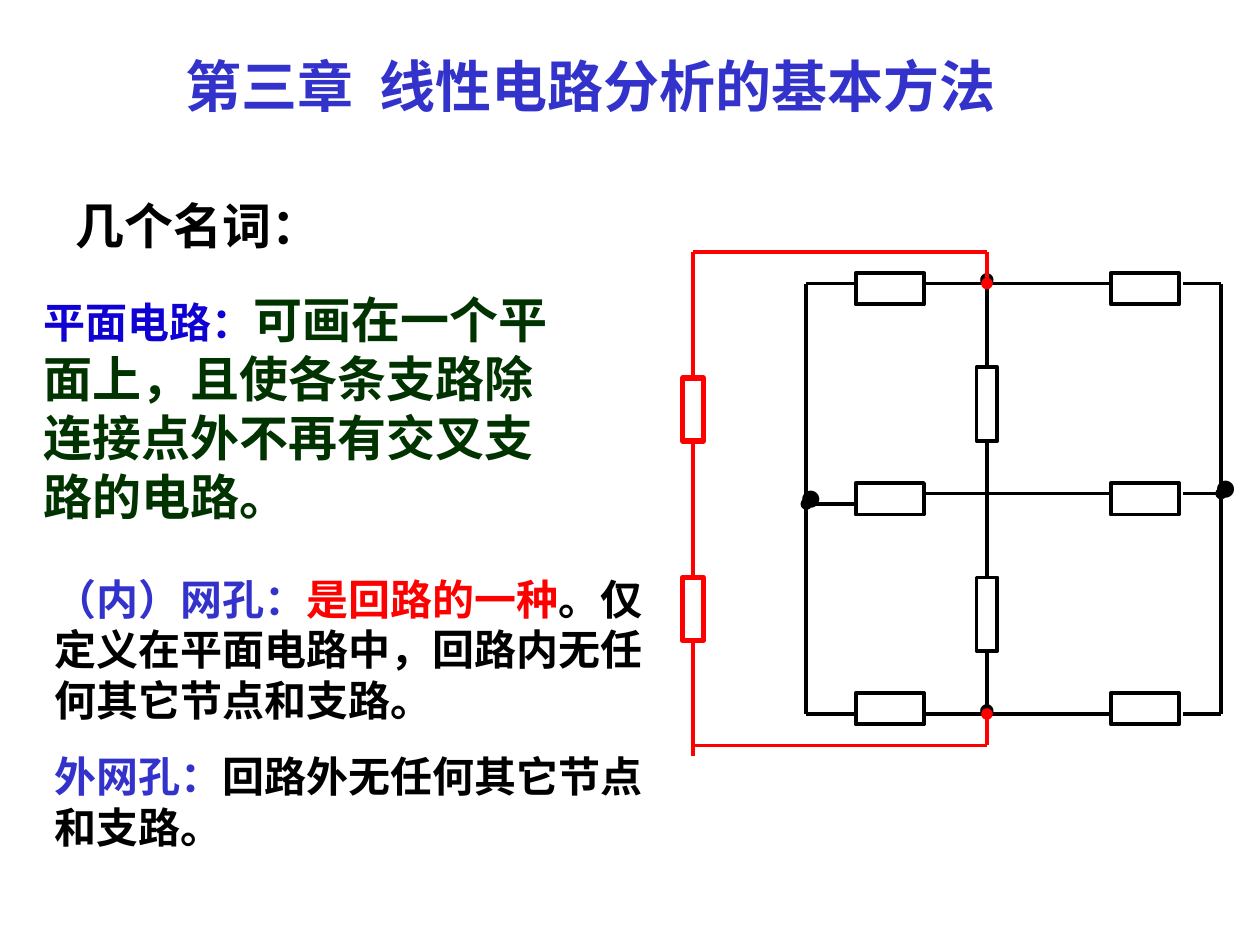
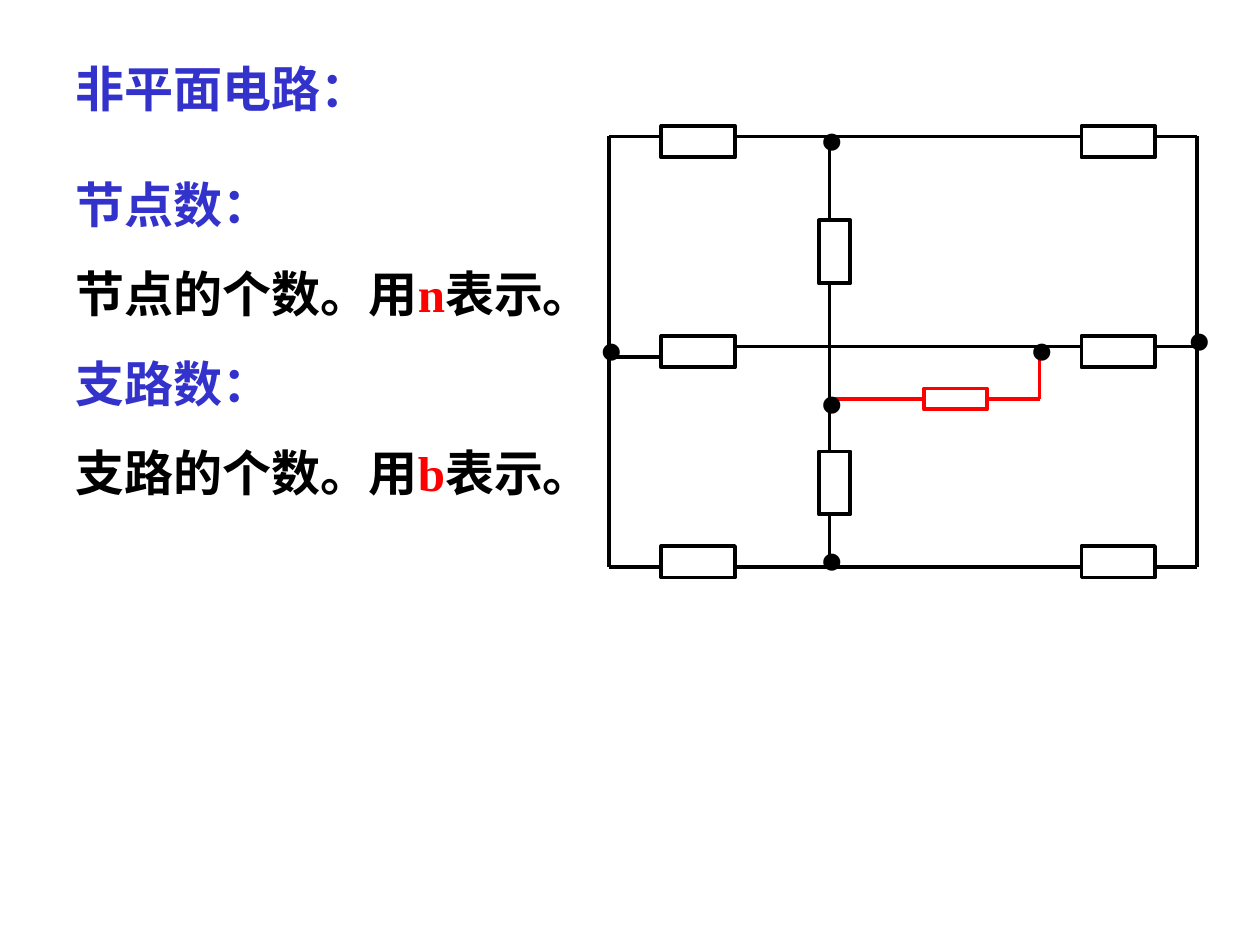
from dataclasses import dataclass
from typing import Optional

from lxml.etree import SubElement
from pptx import Presentation
from pptx.dml.color import RGBColor
from pptx.enum.shapes import MSO_CONNECTOR as CONN, MSO_SHAPE as SHAPE
from pptx.enum.text import MSO_AUTO_SIZE as AUTO
from pptx.oxml.ns import qn
from pptx.util import Inches, Pt

FONT = "Times New Roman"
BLACK = RGBColor(0x00, 0x00, 0x00)
WHITE = RGBColor(0xFF, 0xFF, 0xFF)
RED = RGBColor(0xFF, 0x00, 0x00)
VIOLET = RGBColor(0x33, 0x33, 0xCC)
BLUE = RGBColor(0x10, 0x01, 0xD3)
GREEN = RGBColor(0x00, 0x33, 0x00)

# The slide is a grid of 120 columns and 90 rows of square cells.
COLS, ROWS = 120, 90
WIDTH, HEIGHT = Inches(10), Inches(7.5)
LINE = 2.25


def unit(cells: float) -> int:
    return round(cells * WIDTH / COLS)


@dataclass(frozen=True)
class Run:
    text: str
    color: RGBColor = BLACK
    size: int = 28


@dataclass(frozen=True)
class TextBox:
    x: float
    y: float
    w: float
    h: float
    paragraphs: list[list[Run]]
    before: float = 17.5


@dataclass(frozen=True)
class Resistor:
    x: float
    y: float
    w: float
    h: float
    color: RGBColor = BLACK
    line: float = LINE
    fill: Optional[RGBColor] = None

    def ports(self) -> list[tuple[float, float]]:
        """Middles of the sides, in connection-site order."""
        mid_x, mid_y = self.x + self.w / 2, self.y + self.h / 2
        return [(mid_x, self.y), (self.x, mid_y),
                (mid_x, self.y + self.h), (self.x + self.w, mid_y)]


@dataclass(frozen=True)
class Wire:
    x1: float
    y1: float
    x2: float
    y2: float
    color: RGBColor = BLACK
    node_end: bool = False


@dataclass(frozen=True)
class Dot:
    x: float
    y: float
    w: float
    size: int = 36


@dataclass(frozen=True)
class Frame:
    """Three rows of two resistors between two rails, with a central spine."""
    left: float
    right: float
    top: float
    resistor_xs: tuple[float, float]
    resistor_w: float
    right_lead: float
    spine: float
    spine_resistors: tuple[Resistor, Resistor]
    fill: Optional[RGBColor] = None
    node_ends: bool = False

    def resistors(self) -> list[Resistor]:
        rows = [Resistor(x, self.top + 20 * k, self.resistor_w, 3, fill=self.fill)
                for x in self.resistor_xs for k in range(3)]
        return rows + list(self.spine_resistors)

    def wires(self) -> list[Wire]:
        first, second = self.resistor_xs
        upper, lower = self.top + 1, self.top + 42
        wires = [Wire(x, upper, x, lower) for x in (self.left, self.right)]
        for left_y, y in ((1, 1), (22, 21), (42, 42)):
            left_y, y = self.top + left_y, self.top + y
            node = self.node_ends and upper < y < lower
            wires += [Wire(first, left_y, self.left, left_y, node_end=node),
                      Wire(first + self.resistor_w, y, second, y),
                      Wire(self.right_lead, y, self.right, y, node_end=node)]
        a, b = self.spine_resistors
        spans = ((upper, a.y), (a.y + a.h, b.y), (b.y + b.h, lower))
        return wires + [Wire(self.spine, y1, self.spine, y2) for y1, y2 in spans]


def draw_text(slide, box: TextBox) -> None:
    s = slide.shapes.add_textbox(*map(unit, (box.x, box.y, box.w, box.h)))
    tf = s.text_frame
    tf.word_wrap = True
    tf.auto_size = AUTO.SHAPE_TO_FIT_TEXT
    for i, runs in enumerate(box.paragraphs):
        p = tf.add_paragraph() if i else tf.paragraphs[0]
        if i:
            p.space_before = Pt(box.before)
        for run in runs:
            r = p.add_run()
            r.text = run.text
            r.font.name = FONT
            r.font.bold = True
            r.font.size = Pt(run.size)
            r.font.color.rgb = run.color


def draw_dot(slide, dot: Dot) -> None:
    height = dot.size / 5 + 1.2
    draw_text(slide, TextBox(dot.x, dot.y, dot.w, height,
                             [[Run("•", size=dot.size)]]))


def draw_resistor(slide, part: Resistor):
    s = slide.shapes.add_shape(SHAPE.RECTANGLE,
                               *map(unit, (part.x, part.y, part.w, part.h)))
    s.shadow.inherit = False
    if part.fill is None:
        s.fill.background()
    else:
        s.fill.solid()
        s.fill.fore_color.rgb = part.fill
    s.line.color.rgb = part.color
    s.line.width = Pt(part.line)
    return s


def draw_wire(slide, wire: Wire, drawn: list) -> None:
    """Draw a wire and join it to any resistor whose port it meets."""
    start, end = (wire.x1, wire.y1), (wire.x2, wire.y2)
    c = slide.shapes.add_connector(CONN.STRAIGHT, *map(unit, start + end))
    c.line.color.rgb = wire.color
    c.line.width = Pt(LINE)
    if wire.node_end:
        SubElement(c.line._get_or_add_ln(), qn("a:tailEnd"), type="oval")
    SubElement(c._element.spPr, qn("a:effectLst"))
    for part, shape in drawn:
        for site, port in enumerate(part.ports()):
            if port == start:
                c.begin_connect(shape, site)
            if port == end:
                c.end_connect(shape, site)


def draw_circuit(slide, resistors: list[Resistor], wires: list[Wire]) -> None:
    drawn = [(part, draw_resistor(slide, part)) for part in resistors]
    for wire in wires:
        draw_wire(slide, wire, drawn)


def planar_slide(slide) -> None:
    for dot in (Dot(75, 43, 5.5), Dot(114.5, 42, 5.5),
                Dot(92, 23, 9, 28), Dot(92, 64, 9, 28)):
        draw_dot(slide, dot)
    frame = Frame(left=76.8, right=116.3, top=26, resistor_xs=(81.5, 105.8),
                  resistor_w=6.5, right_lead=112.7, spine=94,
                  spine_resistors=(Resistor(93, 35, 2, 7), Resistor(93, 55, 2, 7)),
                  fill=WHITE, node_ends=True)
    outer_resistors = [Resistor(65, y, 2, 6, RED, 3, WHITE) for y in (36, 55)]
    outer_points = ((66, 42, 66, 55), (66, 61, 66, 72), (66, 71, 94, 71),
                    (66, 36, 66, 24), (66, 24, 94, 24))
    outer_wires = [Wire(*points, RED) for points in outer_points]
    outer_wires += [Wire(94, y1, 94, y2, RED, True) for y1, y2 in ((71, 68), (24, 27))]
    draw_circuit(slide, frame.resistors() + outer_resistors,
                 frame.wires() + outer_wires)

    for box in (
        TextBox(16.5, 4.3, 84.4, 7.7,
                [[Run("第三章  线性电路分析的基本方法", VIOLET, 32)]]),
        TextBox(6, 18, 32, 6.8, [[Run("几个名词：")]]),
        TextBox(3, 27, 52, 23.6, [[
            Run("平面电路：", BLUE, 24),
            Run("可画在一个平面上，且使各条支路除连接点外不再有交叉支路的电路。", GREEN)]]),
        TextBox(4, 54, 60, 27.7, [
            [Run("（内）网孔：", VIOLET, 24), Run("是回路的一种", RED, 24),
             Run("。仅定义在平面电路中，回路内无任何其它节点和支路。", size=24)],
            [Run("外网孔：", VIOLET, 24), Run("回路外无任何其它节点和支路。", size=24)],
        ], before=15),
    ):
        draw_text(slide, box)


def count_paragraphs(noun: str, symbol: str) -> list[list[Run]]:
    return [[Run(f"{noun}数：", VIOLET)],
            [Run(f"{noun}的个数。用"), Run(symbol, RED), Run("表示。")]]


def nonplanar_slide(slide) -> None:
    frame = Frame(left=58, right=114, top=12, resistor_xs=(63, 103),
                  resistor_w=7, right_lead=110, spine=79,
                  spine_resistors=(Resistor(78, 21, 3, 6), Resistor(78, 43, 3, 6)))
    bridge_points = ((88, 38, 79, 38), (94, 38, 99, 38), (99, 38, 99, 33))
    draw_circuit(slide, frame.resistors() + [Resistor(88, 37, 6, 2, RED)],
                 frame.wires() + [Wire(*points, RED) for points in bridge_points])
    for dot in (Dot(56, 29, 6), Dot(112, 28, 6), Dot(97, 29, 7),
                *(Dot(77, y, 7) for y in (9, 34, 49))):
        draw_dot(slide, dot)
    draw_text(slide, TextBox(6, 5, 49.3, 6.8, [[Run("非平面电路：", VIOLET)]]))
    draw_text(slide, TextBox(6, 16, 56, 32.4, count_paragraphs("节点", "n")
                             + count_paragraphs("支路", "b")))


def main() -> None:
    prs = Presentation()
    prs.slide_width, prs.slide_height = WIDTH, HEIGHT
    for build in (planar_slide, nonplanar_slide):
        build(prs.slides.add_slide(prs.slide_layouts[6]))
    prs.save("out.pptx")


if __name__ == "__main__":
    main()
